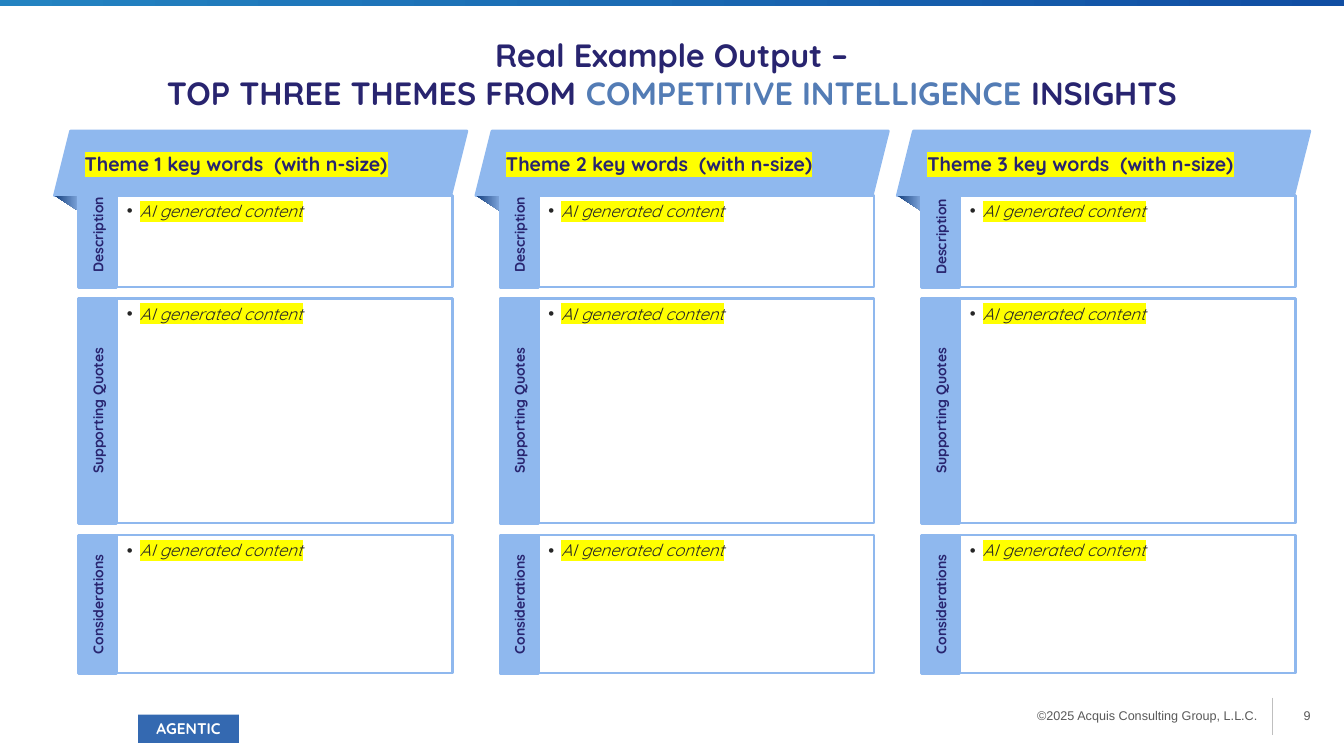
from lxml.etree import SubElement
from pptx import Presentation
from pptx.dml.color import RGBColor
from pptx.enum.shapes import MSO_CONNECTOR, MSO_SHAPE
from pptx.enum.text import MSO_ANCHOR, PP_ALIGN
from pptx.oxml.ns import qn
from pptx.util import Inches, Pt

NAVY, STEEL, SKY, INK = "28246F", "537CB5", "8FB8EE", "262626"
WHITE, YELLOW, GREY = "FFFFFF", "FFFF00", "595959"

TITLE = {"size": Pt(23), "bold": True, "name": "Quicksand"}
THEME = {"size": Pt(14), "bold": True, "name": "Quicksand"}
TAB = {"size": Pt(10), "bold": True, "name": "Quicksand"}
BODY = {"size": Pt(12), "italic": True, "name": "Quicksand"}
BADGE = {"size": Pt(11), "bold": True, "name": "Quicksand"}
FOOTER = {"size": Pt(9), "name": "Arial"}

COLUMN_LEFT, COLUMN_PITCH = 0.54, 4.18
TAB_WIDTH = 0.38
# label, top and height of the panel
SECTIONS = [
    ("Description", 1.94, 0.91),
    ("Supporting Quotes", 2.96, 2.23),
    ("Considerations", 5.31, 1.37),
]
# the Description tabs reach up behind the banner by this much
TAB_OVERLAPS = [0.13, 0.13, 0.09]


def rgb(value):
    return RGBColor.from_string(value)


def paint(sp, fill, line=None, width=2):
    sp.shadow.inherit = False
    sp.fill.solid()
    sp.fill.fore_color.rgb = rgb(fill)
    if line:
        sp.line.color.rgb = rgb(line)
        sp.line.width = Pt(width)
    else:
        sp.line.fill.background()


def paint_gradient(sp, start, end):
    sp.shadow.inherit = False
    sp.line.fill.background()
    sp.fill.gradient()
    sp.fill.gradient_angle = 0
    for stop, color in zip(sp.fill.gradient_stops, (start, end)):
        stop.color.rgb = rgb(color)


def add_box(s, at, kind=MSO_SHAPE.RECTANGLE):
    return s.shapes.add_shape(kind, *map(Inches, at))


def set_frame(sp, anchor=MSO_ANCHOR.TOP, inset=(0.1, 0.05)):
    tf = sp.text_frame
    tf.word_wrap = True
    tf.vertical_anchor = anchor
    tf.margin_left = tf.margin_right = Inches(inset[0])
    tf.margin_top = tf.margin_bottom = Inches(inset[1])
    return tf


def add_run(p, text, style, color, highlight=None):
    r = p.add_run()
    r.text = text
    r.font.color.rgb = rgb(color)
    if highlight:
        mark = SubElement(r.font._element, qn("a:highlight"))
        SubElement(mark, qn("a:srgbClr"), val=highlight)
    for name, value in style.items():
        setattr(r.font, name, value)


def write(tf, text, style, color, align=PP_ALIGN.LEFT, highlight=None):
    p = tf.paragraphs[0]
    p.alignment = align
    add_run(p, text, style, color, highlight)
    return p


def add_bullet(p, color):
    pPr = p._p.get_or_add_pPr()
    pPr.set("marL", str(Inches(0.13)))
    pPr.set("indent", str(-Inches(0.13)))
    SubElement(SubElement(pPr, qn("a:buClr")), qn("a:srgbClr"), val=color)
    SubElement(pPr, qn("a:buFont"), typeface="Arial")
    SubElement(pPr, qn("a:buChar"), char="•")


def add_text(s, at, inset=(0.1, 0.05), anchor=MSO_ANCHOR.TOP):
    return set_frame(s.shapes.add_textbox(*map(Inches, at)), anchor, inset)


def add_title(s):
    tf = add_text(s, (0, 0.3, 13.33, 1.26))
    write(tf, "Real Example Output –", TITLE, NAVY, PP_ALIGN.CENTER)
    p = tf.add_paragraph()
    p.alignment = PP_ALIGN.CENTER
    add_run(p, "TOP THREE THEMES FROM ", TITLE, NAVY)
    add_run(p, "COMPETITIVE INTELLIGENCE ", TITLE, STEEL)
    add_run(p, "INSIGHTS", TITLE, NAVY)


def add_banner(s, left, text):
    """Slanted theme heading with the folded corner beneath it."""
    banner = add_box(s, (left, 1.3, 4.09, 0.64), MSO_SHAPE.PARALLELOGRAM)
    banner.adjustments[0] = 0.25
    paint(banner, SKY, SKY)
    builder = s.shapes.build_freeform(Inches(left), Inches(1.94))
    corners = [(left + 0.25, 2.1), (left + 0.28, 1.94)]
    builder.add_line_segments([(Inches(x), Inches(y)) for x, y in corners])
    paint_gradient(builder.convert_to_shape(), "143F7D", "92B8ED")
    tf = add_text(s, (left + 0.2, 1.46, 3.74, 0.34))
    write(tf, text, THEME, NAVY, highlight=YELLOW)


def add_section(s, left, label, top, height, overlap):
    """Panel with a tab on its left that reads upwards."""
    length = height + overlap
    center_x, center_y = left + 0.43, top - overlap + length / 2
    tab = add_box(s, (center_x - length / 2, center_y - TAB_WIDTH / 2,
                      length, TAB_WIDTH))
    tab.rotation = 270
    paint(tab, SKY, SKY)
    write(set_frame(tab, MSO_ANCHOR.MIDDLE), label, TAB, NAVY,
          PP_ALIGN.CENTER)
    panel = add_box(s, (left + 0.62, top, 3.33, height))
    paint(panel, WHITE, SKY, 1.75)
    p = write(set_frame(panel), "AI generated content", BODY, INK,
              highlight=YELLOW)
    add_bullet(p, INK)


def add_footer(s):
    notes = [((12.77, 6.79, 0.23, 0.62), "9"),
             ((9.69, 6.79, 2.78, 0.62),
              "©2025 Acquis Consulting Group, L.L.C.")]
    for at, text in notes:
        tf = add_text(s, at, (0, 0), MSO_ANCHOR.MIDDLE)
        write(tf, text, FOOTER, GREY, PP_ALIGN.RIGHT)
    divider = s.shapes.add_connector(
        MSO_CONNECTOR.STRAIGHT, *map(Inches, (12.62, 6.92, 12.62, 7.29)))
    divider.line.color.rgb = rgb("BFBFBF")
    divider.line.width = Pt(0.75)
    SubElement(divider._element.spPr, qn("a:effectLst"))
    badge = add_box(s, (1.37, 7.09, 1, 0.28))
    paint(badge, "3469B1")
    write(set_frame(badge, MSO_ANCHOR.MIDDLE, (0, 0)), "AGENTIC", BADGE,
          WHITE, PP_ALIGN.CENTER)


def main():
    prs = Presentation()
    prs.slide_width, prs.slide_height = Inches(13.33), Inches(7.5)
    s = prs.slides.add_slide(prs.slide_layouts[6])
    paint_gradient(add_box(s, (0, 0, 13.33, 0.06)), "2383C1", "104EA3")
    add_footer(s)
    add_title(s)
    for i, tab_overlap in enumerate(TAB_OVERLAPS):
        left = COLUMN_LEFT + i * COLUMN_PITCH
        add_banner(s, left, f"Theme {i + 1} key words  (with n-size)")
        for label, top, height in SECTIONS:
            overlap = tab_overlap if label == "Description" else 0
            add_section(s, left, label, top, height, overlap)
    prs.save("out.pptx")


if __name__ == "__main__":
    main()
